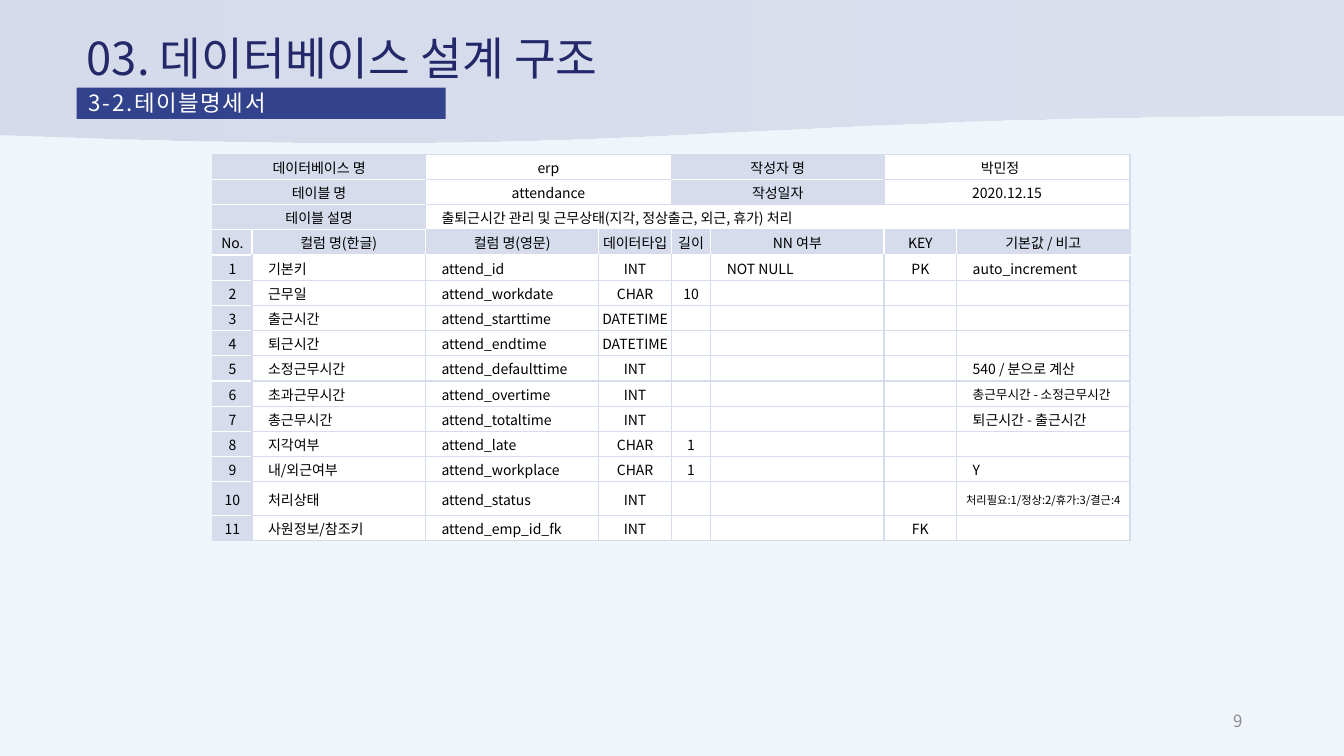
from dataclasses import dataclass
from typing import NamedTuple

from lxml.etree import SubElement
from pptx import Presentation
from pptx.dml.color import RGBColor
from pptx.enum.shapes import MSO_SHAPE
from pptx.enum.text import MSO_ANCHOR, MSO_AUTO_SIZE, PP_ALIGN
from pptx.oxml import parse_xml
from pptx.oxml.ns import nsdecls, qn
from pptx.util import Inches, Pt


@dataclass(frozen=True)
class Theme:
    font: str = "Noto Sans CJK KR"
    background: str = "EFF5FA"
    pale: str = "D6DCEC"
    white: str = "FFFFFF"
    black: str = "000000"
    navy: str = "232868"
    blue: str = "33428C"
    grey: str = "8C8C8C"
    title_size: float = 32.4
    subtitle_size: float = 16
    page_size: float = 12
    cell_size: float = 10
    small_size: float = 9
    tiny_size: float = 8


THEME = Theme()


class Box(NamedTuple):
    left: float
    top: float
    width: float
    height: float

    def lengths(self) -> list:
        return [Inches(value) for value in self]


class Entry(NamedTuple):
    """One cell of the specification table."""
    text: str
    span: int = 1
    shaded: bool = False
    align: PP_ALIGN = PP_ALIGN.CENTER
    size: float = THEME.cell_size


class Field(NamedTuple):
    """One database column described by the table."""
    korean: str
    english: str
    data_type: str
    length: str = ""
    not_null: str = ""
    key: str = ""
    note: str = ""
    note_size: float = THEME.cell_size
    note_align: PP_ALIGN = PP_ALIGN.LEFT


COLUMN_WIDTHS = [0.39, 1.72, 1.72, 0.72, 0.39, 1.72, 0.72, 1.72]
ROW_HEIGHT = 0.25
HEADER_ROW = 3
HEADINGS = ["No.", "컬럼 명(한글)", "컬럼 명(영문)", "데이터타입", "길이",
            "NN 여부", "KEY", "기본값 / 비고"]
FIELDS = [
    Field("기본키", "attend_id", "INT", not_null="NOT NULL", key="PK", note="auto_increment"),
    Field("근무일", "attend_workdate", "CHAR", "10"),
    Field("출근시간", "attend_starttime", "DATETIME"),
    Field("퇴근시간", "attend_endtime", "DATETIME"),
    Field("소정근무시간", "attend_defaulttime", "INT", note="540 / 분으로 계산"),
    Field("초과근무시간", "attend_overtime", "INT", note="총근무시간 - 소정근무시간",
          note_size=THEME.small_size),
    Field("총근무시간", "attend_totaltime", "INT", note="퇴근시간 - 출근시간"),
    Field("지각여부", "attend_late", "CHAR", "1"),
    Field("내/외근여부", "attend_workplace", "CHAR", "1", note="Y"),
    Field("처리상태", "attend_status", "INT", note="처리필요:1/정상:2/휴가:3/결근:4",
          note_size=THEME.tiny_size, note_align=PP_ALIGN.CENTER),
    Field("사원정보/참조키", "attend_emp_id_fk", "INT", key="FK"),
]


def rgb(color: str) -> RGBColor:
    return RGBColor.from_string(color)


def add_run(paragraph, text: str, size: float, color: str):
    run = paragraph.add_run()
    run.text = text
    run.font.name = THEME.font
    run.font.size = Pt(size)
    run.font.color.rgb = rgb(color)
    SubElement(run.font._element, qn("a:ea"), typeface=THEME.font)
    return run


def add_backdrop(slide, preset, box: Box, layer: int):
    """Add a borderless shape behind the placeholders."""
    shape = slide.shapes.add_shape(preset, *box.lengths())
    shape.shadow.inherit = False
    shape.line.fill.background()
    slide.shapes._spTree.insert(2 + layer, shape._element)
    return shape


def set_opacity(color_parent, percent: int) -> None:
    SubElement(color_parent.find(qn("a:srgbClr")), qn("a:alpha"), val=str(percent * 1000))


def place(placeholder, box: Box):
    placeholder.left, placeholder.top, placeholder.width, placeholder.height = box.lengths()
    frame = placeholder.text_frame
    frame.word_wrap = True
    frame.auto_size = MSO_AUTO_SIZE.NONE
    return frame


def specification_rows() -> list[list[Entry]]:
    def label(text: str, span: int = 1) -> Entry:
        return Entry(text, span, shaded=True)

    left = PP_ALIGN.LEFT
    rows = [
        [label("데이터베이스 명", 2), Entry("erp", 2), label("작성자 명", 2), Entry("박민정　", 2)],
        [label("테이블 명", 2), Entry("attendance", 2), label("작성일자", 2), Entry("2020.12.15", 2)],
        [label("테이블 설명", 2),
         Entry("출퇴근시간 관리 및 근무상태(지각, 정상출근, 외근, 휴가) 처리", 6, align=left)],
        [label(heading) for heading in HEADINGS],
    ]
    for number, field in enumerate(FIELDS, start=1):
        rows.append([
            label(str(number)), Entry(field.korean, align=left), Entry(field.english, align=left),
            Entry(field.data_type), Entry(field.length), Entry(field.not_null, align=left),
            Entry(field.key), Entry(field.note, align=field.note_align, size=field.note_size),
        ])
    return rows


def fill_cell(cell, entry: Entry, edges: dict[str, str]) -> None:
    cell.vertical_anchor = MSO_ANCHOR.MIDDLE
    cell.margin_left = Inches(0.16 if entry.align == PP_ALIGN.LEFT else 0.01)
    cell.margin_right = cell.margin_top = Inches(0.01)
    cell.margin_bottom = Inches(0)
    cell.fill.solid()
    cell.fill.fore_color.rgb = rgb(THEME.pale if entry.shaded else THEME.white)
    for index, (side, color) in enumerate(edges.items()):
        cell._tc.tcPr.insert(index, parse_xml(
            f'<a:{side} {nsdecls("a")} w="12700"><a:solidFill>'
            f'<a:srgbClr val="{color}"/></a:solidFill></a:{side}>'))
    paragraph = cell.text_frame.paragraphs[0]
    paragraph.alignment = entry.align
    if entry.text:
        add_run(paragraph, entry.text, entry.size, THEME.black)
    else:
        SubElement(paragraph._p, qn("a:endParaRPr"), sz=str(int(entry.size * 100)))


def add_specification(slide, box: Box) -> None:
    rows = specification_rows()
    table = slide.shapes.add_table(len(rows), len(COLUMN_WIDTHS), *box.lengths()).table
    table.first_row = table.horz_banding = False
    for column, width in zip(table.columns, COLUMN_WIDTHS):
        column.width = Inches(width)
    for row in table.rows:
        row.height = Inches(ROW_HEIGHT)
    shaded = [[entry.shaded for entry in row for _ in range(entry.span)] for row in rows]

    def edge(r: int, c: int, near_r: int, near_c: int) -> str:
        """White between two shaded cells and under the headings, pale elsewhere."""
        inside = 0 <= near_r < len(rows) and 0 <= near_c < len(COLUMN_WIDTHS)
        under_headings = r != near_r and min(r, near_r) == HEADER_ROW
        white = inside and (under_headings or (shaded[r][c] and shaded[near_r][near_c]))
        return THEME.white if white else THEME.pale

    for r, row in enumerate(rows):
        c = 0
        for entry in row:
            end = c + entry.span
            cell = table.cell(r, c)
            if entry.span > 1:
                cell.merge(table.cell(r, end - 1))
            fill_cell(cell, entry, {"lnL": edge(r, c, r, c - 1), "lnR": edge(r, c, r, end),
                                    "lnT": edge(r, c, r - 1, c), "lnB": edge(r, c, r + 1, c)})
            c = end


def main() -> None:
    deck = Presentation()
    deck.slide_width, deck.slide_height = Inches(13.33), Inches(7.5)
    slide = deck.slides.add_slide(deck.slide_layouts[1])
    slide.background.fill.solid()
    slide.background.fill.fore_color.rgb = rgb(THEME.background)

    # Wave band and pale corner
    wave = add_backdrop(slide, MSO_SHAPE.FLOWCHART_DOCUMENT, Box(0, 0, 13.33, 1.43), 0)
    wave.fill.gradient()
    wave.fill.gradient_angle = 0
    for stop in wave.fill.gradient_stops:
        stop.color.rgb = rgb(THEME.pale)
    set_opacity(wave._element.spPr.findall(".//" + qn("a:gs"))[-1], 80)
    corner = add_backdrop(slide, MSO_SHAPE.RECTANGLE, Box(0, 6.73, 3, 0.77), 1)
    corner.fill.solid()
    corner.fill.fore_color.rgb = rgb(THEME.background)
    set_opacity(corner._element.spPr.find(qn("a:solidFill")), 64)

    # Title
    title = place(slide.shapes.title, Box(0.76, 0.28, 8.55, 0.58))
    title.vertical_anchor = MSO_ANCHOR.MIDDLE
    title.paragraphs[0].alignment = PP_ALIGN.LEFT
    add_run(title.paragraphs[0], "03. 데이터베이스 설계 구조", THEME.title_size, THEME.navy)

    # Subtitle bar
    bar = slide.placeholders[1]
    bar.fill.solid()
    bar.fill.fore_color.rgb = rgb(THEME.blue)
    subtitle = place(bar, Box(0.76, 0.87, 3.66, 0.31))
    subtitle.vertical_anchor = MSO_ANCHOR.TOP
    subtitle.margin_left = subtitle.margin_right = Inches(0.12)
    subtitle.margin_top, subtitle.margin_bottom = Inches(0.04), Inches(0.05)
    heading = subtitle.paragraphs[0]
    properties = heading._p.get_or_add_pPr()
    properties.set("marL", "0")
    properties.set("indent", "0")
    SubElement(properties, qn("a:buNone"))
    heading.alignment = PP_ALIGN.JUSTIFY
    heading.line_spacing = 0.9
    heading.space_before = Pt(0)
    run = add_run(heading, "3-2.테이블명세서", THEME.subtitle_size, THEME.white)
    run.font._element.set("spc", "120")

    # Table specification
    add_specification(slide, Box(2.11, 1.53, 9.11, 3.75))

    # Page number
    page = slide.shapes.add_textbox(*Box(9.42, 6.95, 3, 0.4).lengths()).text_frame
    page.word_wrap = True
    page.vertical_anchor = MSO_ANCHOR.MIDDLE
    page.paragraphs[0].alignment = PP_ALIGN.RIGHT
    add_run(page.paragraphs[0], "9", THEME.page_size, THEME.grey)

    deck.save("out.pptx")


if __name__ == "__main__":
    main()
